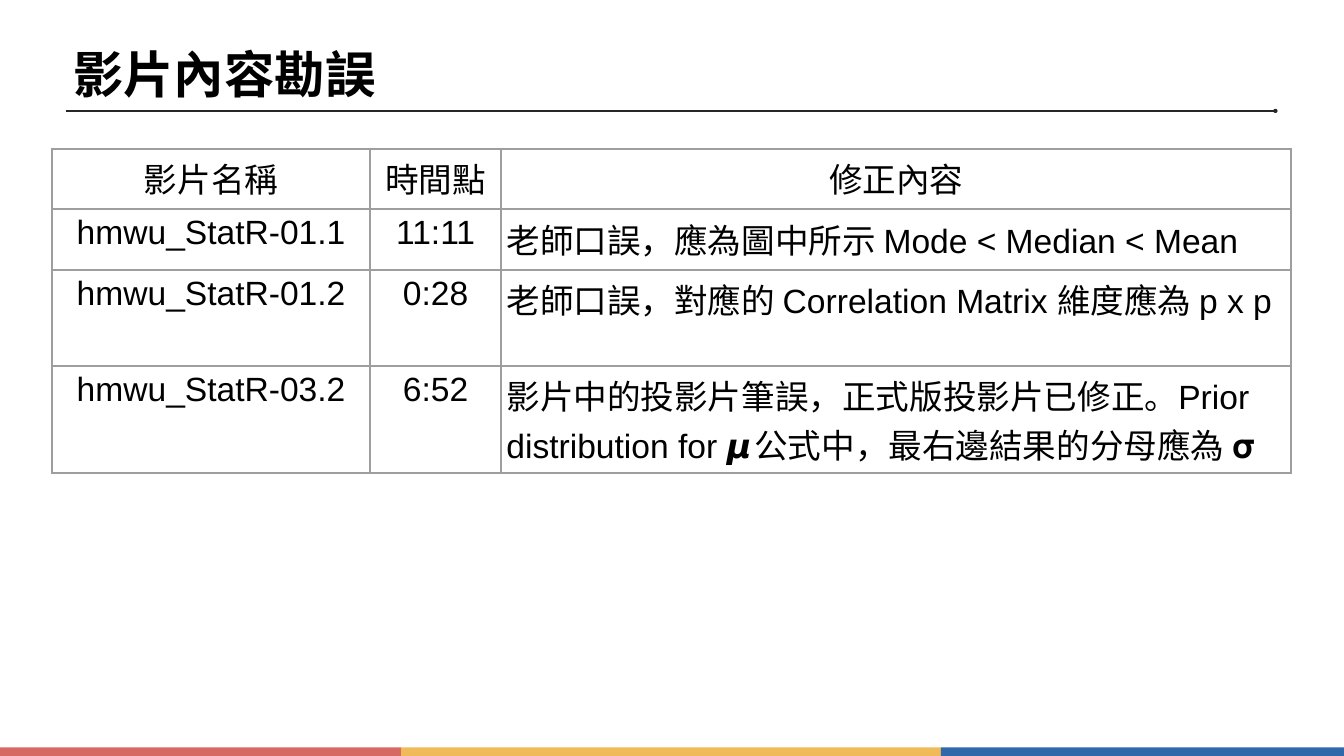
"""Build the slide listing corrections to the course videos."""
from pptx import Presentation
from pptx.dml.color import RGBColor
from pptx.enum.shapes import MSO_CONNECTOR as Connector, MSO_SHAPE as Shape
from pptx.enum.text import MSO_ANCHOR as Anchor, MSO_AUTO_SIZE as AutoSize, PP_ALIGN as Align
from pptx.oxml import parse_xml
from pptx.oxml.ns import nsdecls
from pptx.util import Inches, Pt

RED = RGBColor(0xD6, 0x69, 0x62)
YELLOW = RGBColor(0xEF, 0xBA, 0x57)
BLUE = RGBColor(0x30, 0x68, 0xAA)
RULE_GREY = RGBColor(0x26, 0x26, 0x27)
BORDER_GREY = RGBColor(0x9E, 0x9E, 0x9E)
BLACK = RGBColor(0, 0, 0)
FONT = "Arial"
WIDTH, HEIGHT = 26.67, 15
STRIP_HEIGHT = 0.17
ROW_HEIGHT = 1.2
COLUMNS = (6.3, 2.61, 15.67)
CORRECTIONS = (
    ("影片名稱", "時間點", "修正內容"),
    ("hmwu_StatR-01.1", "11:11", "老師口誤,應為圖中所示 Mode < Median < Mean".replace(",", ",")),
    ("hmwu_StatR-01.2", "0:28", "老師口誤,對應的 Correlation Matrix 維度應為 p x p".replace(",", ",")),
    ("hmwu_StatR-03.2", "6:52",
     "影片中的投影片筆誤\uff0c正式版投影片已修正。Prior distribution for \U0001D7B5 "
     "公式中\uff0c最右邊結果的分母應為 \U0001D6D4"),
)
CORRECTIONS = tuple(tuple(text.replace(",", "\uff0c") for text in row) for row in CORRECTIONS)


def style(paragraph, size, align, bold=False):
    paragraph.alignment = align
    paragraph.font.name = FONT
    paragraph.font.size = Pt(size)
    paragraph.font.bold = bold
    paragraph.font.color.rgb = BLACK


deck = Presentation()
deck.slide_width, deck.slide_height = Inches(WIDTH), Inches(HEIGHT)
slide = deck.slides.add_slide(deck.slide_layouts[5])

left = 0
for color, right in ((RED, 7.96), (YELLOW, 18.67), (BLUE, WIDTH)):
    strip = slide.shapes.add_shape(
        Shape.RECTANGLE, Inches(left), Inches(HEIGHT - STRIP_HEIGHT),
        Inches(right - left), Inches(STRIP_HEIGHT))
    strip.shadow.inherit = False
    strip.fill.solid()
    strip.fill.fore_color.rgb = color
    strip.line.fill.background()
    left = right

title_rule = slide.shapes.add_connector(
    Connector.STRAIGHT, Inches(1.31), Inches(2.2), Inches(25.31), Inches(2.2))
title_rule.line.color.rgb = RULE_GREY
title_rule.line.width = Pt(2)
title_rule.line._get_or_add_ln().append(parse_xml(f'<a:tailEnd {nsdecls("a")} type="oval"/>'))
title_rule._element.spPr.append(parse_xml(f'<a:effectLst {nsdecls("a")}/>'))

title = slide.shapes.title
title.left, title.top, title.width, title.height = map(Inches, (1.37, 0.63, 17.07, 1.66))
heading = title.text_frame
heading.text = "影片內容勘誤"
heading.word_wrap = True
heading.auto_size = AutoSize.NONE
heading.vertical_anchor = Anchor.MIDDLE
heading.margin_left = heading.margin_right = Inches(0.08)
heading.margin_top = heading.margin_bottom = Inches(0.08)
style(heading.paragraphs[0], 72, Align.LEFT, bold=True)

errata = slide.shapes.add_table(
    len(CORRECTIONS), len(COLUMNS), Inches(1.04), Inches(2.95),
    Inches(sum(COLUMNS)), Inches(ROW_HEIGHT * len(CORRECTIONS))).table
errata.first_row = errata.horz_banding = False
for column, width in zip(errata.columns, COLUMNS):
    column.width = Inches(width)

for row, texts in enumerate(CORRECTIONS):
    errata.rows[row].height = Inches(ROW_HEIGHT)
    for col, text in enumerate(texts):
        cell = errata.cell(row, col)
        cell.text = text
        cell.margin_left = cell.margin_right = Inches(0.1)
        cell.margin_top = cell.margin_bottom = Inches(0.1)
        style(cell.text_frame.paragraphs[0], 48,
              Align.LEFT if row and col == 2 else Align.CENTER)
        borders = cell._tc.get_or_add_tcPr()
        for side in ("lnL", "lnR", "lnT", "lnB"):
            borders.append(parse_xml(
                f'<a:{side} {nsdecls("a")} w="{Pt(3)}"><a:solidFill>'
                f'<a:srgbClr val="{BORDER_GREY}"/></a:solidFill></a:{side}>'))
        cell.fill.background()

deck.save("out.pptx")
